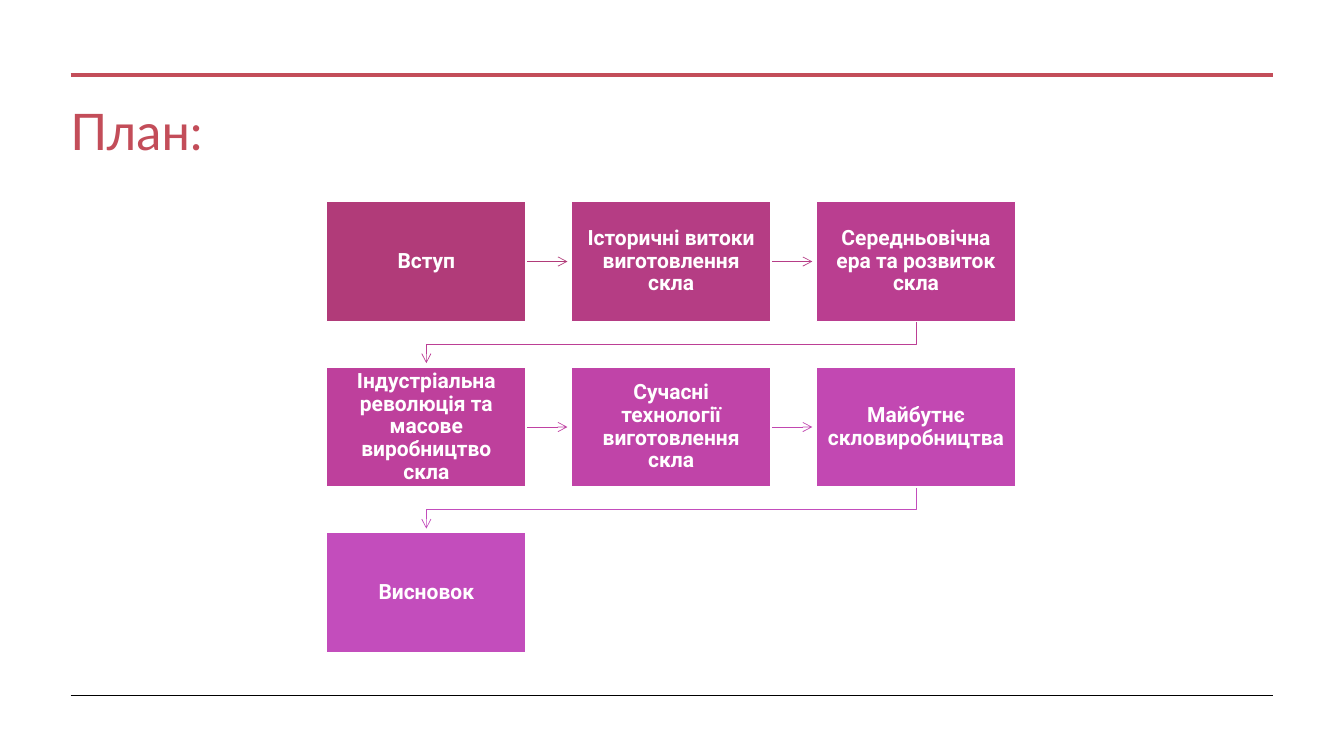
"""Build the plan slide: a title and a seven-step process flow in rows of three."""
from dataclasses import dataclass

from lxml import etree
from pptx import Presentation
from pptx import util as u
from pptx.dml.color import RGBColor
from pptx.enum import shapes, text
from pptx.oxml import ns

WHITE = RGBColor(0xFF, 0xFF, 0xFF)
BLACK = RGBColor(0x00, 0x00, 0x00)
RED = RGBColor(0xC3, 0x4D, 0x59)

COLS = 3
LEFT, TOP = u.Cm(8.23), u.Cm(5.08)
BOX_W, BOX_H = u.Cm(5.03), u.Cm(3.02)
STEP_X, STEP_Y = u.Cm(6.17), u.Cm(4.17)
INSET = u.Cm(0.25)
ARROW_GAP = u.Cm(0.1)
RULE_LEFT, RULE_RIGHT = u.Cm(1.78), u.Cm(32.08)


@dataclass(frozen=True)
class Rule:
    y: u.Length
    color: RGBColor
    width: float


@dataclass(frozen=True)
class Step:
    label: str
    fill: RGBColor
    arrow: RGBColor | None = None


RULES = [Rule(u.Cm(1.88), RED, 3), Rule(u.Cm(17.53), BLACK, 0.5)]

STEPS = [
    Step("Вступ", RGBColor(0xB1, 0x3B, 0x79), RGBColor(0xB1, 0x3B, 0x79)),
    Step("Історичні витоки виготовлення скла",
         RGBColor(0xB5, 0x3D, 0x84), RGBColor(0xB6, 0x3D, 0x87)),
    Step("Середньовічна ера та розвиток скла",
         RGBColor(0xBA, 0x3E, 0x90), RGBColor(0xBC, 0x3F, 0x95)),
    Step("Індустріальна революція та масове виробництво скла",
         RGBColor(0xBE, 0x40, 0x9C), RGBColor(0xC0, 0x42, 0xA3)),
    Step("Сучасні технології виготовлення скла",
         RGBColor(0xC0, 0x44, 0xA8), RGBColor(0xC1, 0x48, 0xB0)),
    Step("Майбутнє скловиробництва",
         RGBColor(0xC2, 0x48, 0xB2), RGBColor(0xC3, 0x4D, 0xBC)),
    Step("Висновок", RGBColor(0xC3, 0x4D, 0xBC)),
]


def add_run(p, label: str, font: str, size: float, color: RGBColor, bold: bool = False) -> None:
    r = p.add_run()
    r.text = label
    r.font.name = font
    r.font.size = u.Pt(size)
    r.font.bold = bold
    r.font.color.rgb = color


def style_line(sp, color: RGBColor, width: float, arrow: bool = False) -> None:
    sp.line.color.rgb = color
    sp.line.width = u.Pt(width)
    sp_pr = sp._element.spPr
    if arrow:
        etree.SubElement(sp_pr.find(ns.qn("a:ln")), ns.qn("a:tailEnd"), type="arrow")
    etree.SubElement(sp_pr, ns.qn("a:effectLst"))


def add_line(s, x1: int, y1: int, x2: int, y2: int):
    return s.shapes.add_connector(shapes.MSO_CONNECTOR.STRAIGHT, x1, y1, x2, y2)


def add_title(s) -> None:
    sp = s.shapes.title
    sp.left, sp.top, sp.width, sp.height = u.Cm(1.52), u.Cm(2.64), u.Cm(9.8), u.Cm(6.88)
    tf = sp.text_frame
    tf.word_wrap = True
    tf.auto_size = text.MSO_AUTO_SIZE.NONE
    tf.vertical_anchor = text.MSO_ANCHOR.TOP
    p = tf.paragraphs[0]
    p.alignment = text.PP_ALIGN.LEFT
    p.line_spacing = 0.85
    add_run(p, "План:", "Lato", 36, RED)


def add_box(s, step: Step, x: int, y: int) -> None:
    sp = s.shapes.add_shape(shapes.MSO_SHAPE.RECTANGLE, x, y, BOX_W, BOX_H)
    sp.shadow.inherit = False
    sp.fill.solid()
    sp.fill.fore_color.rgb = step.fill
    sp.line.color.rgb = WHITE
    sp.line.width = u.Pt(1)
    tf = sp.text_frame
    tf.word_wrap = True
    tf.vertical_anchor = text.MSO_ANCHOR.MIDDLE
    tf.margin_left = tf.margin_right = tf.margin_top = tf.margin_bottom = INSET
    p = tf.paragraphs[0]
    p.alignment = text.PP_ALIGN.CENTER
    p.line_spacing = 0.9
    add_run(p, step.label, "Roboto", 15, WHITE, bold=True)


def add_arrow(s, color: RGBColor, x: int, y: int, last_in_row: bool) -> None:
    if last_in_row:
        start_x, end_x = x + BOX_W // 2, LEFT + BOX_W // 2
        start_y, end_y = y + BOX_H, y + STEP_Y - ARROW_GAP
        bend_y = y + (BOX_H + STEP_Y) // 2
        builder = s.shapes.build_freeform(start_x, start_y)
        builder.add_line_segments(
            [(start_x, bend_y), (end_x, bend_y), (end_x, end_y)], close=False)
        sp = builder.convert_to_shape()
        sp.fill.background()
    else:
        mid_y = y + BOX_H // 2
        sp = add_line(s, x + BOX_W, mid_y, x + STEP_X - ARROW_GAP, mid_y)
    style_line(sp, color, 0.5, arrow=True)


def main() -> None:
    prs = Presentation()
    prs.slide_width, prs.slide_height = u.Cm(33.87), u.Cm(19.05)
    s = prs.slides.add_slide(prs.slide_layouts.get_by_name("Title Only"))
    add_title(s)
    for rule in RULES:
        style_line(add_line(s, RULE_LEFT, rule.y, RULE_RIGHT, rule.y), rule.color, rule.width)
    for i, step in enumerate(STEPS):
        row, col = divmod(i, COLS)
        x, y = LEFT + col * STEP_X, TOP + row * STEP_Y
        if step.arrow is not None:
            add_arrow(s, step.arrow, x, y, col == COLS - 1)
        add_box(s, step, x, y)
    prs.save("out.pptx")


if __name__ == "__main__":
    main()
